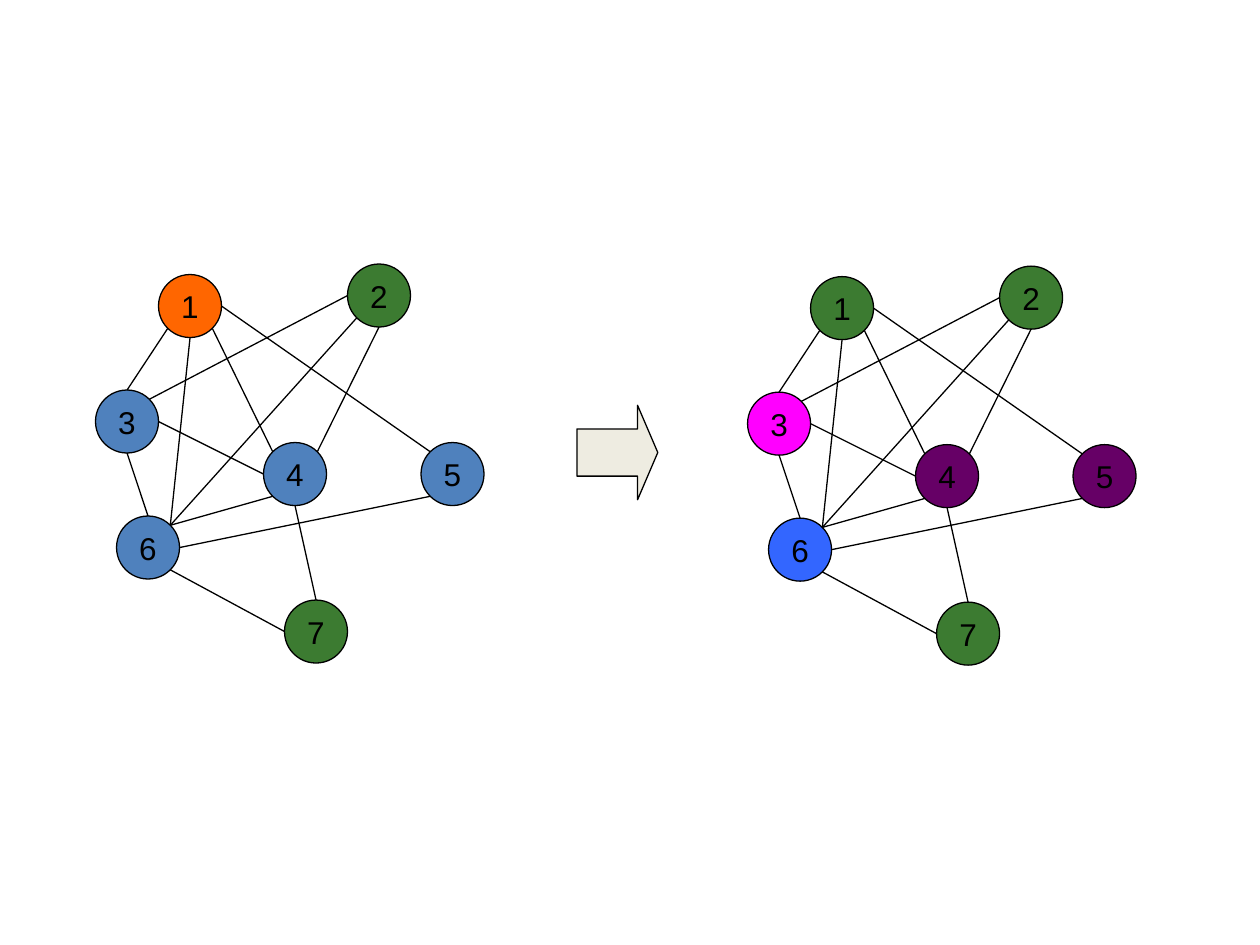
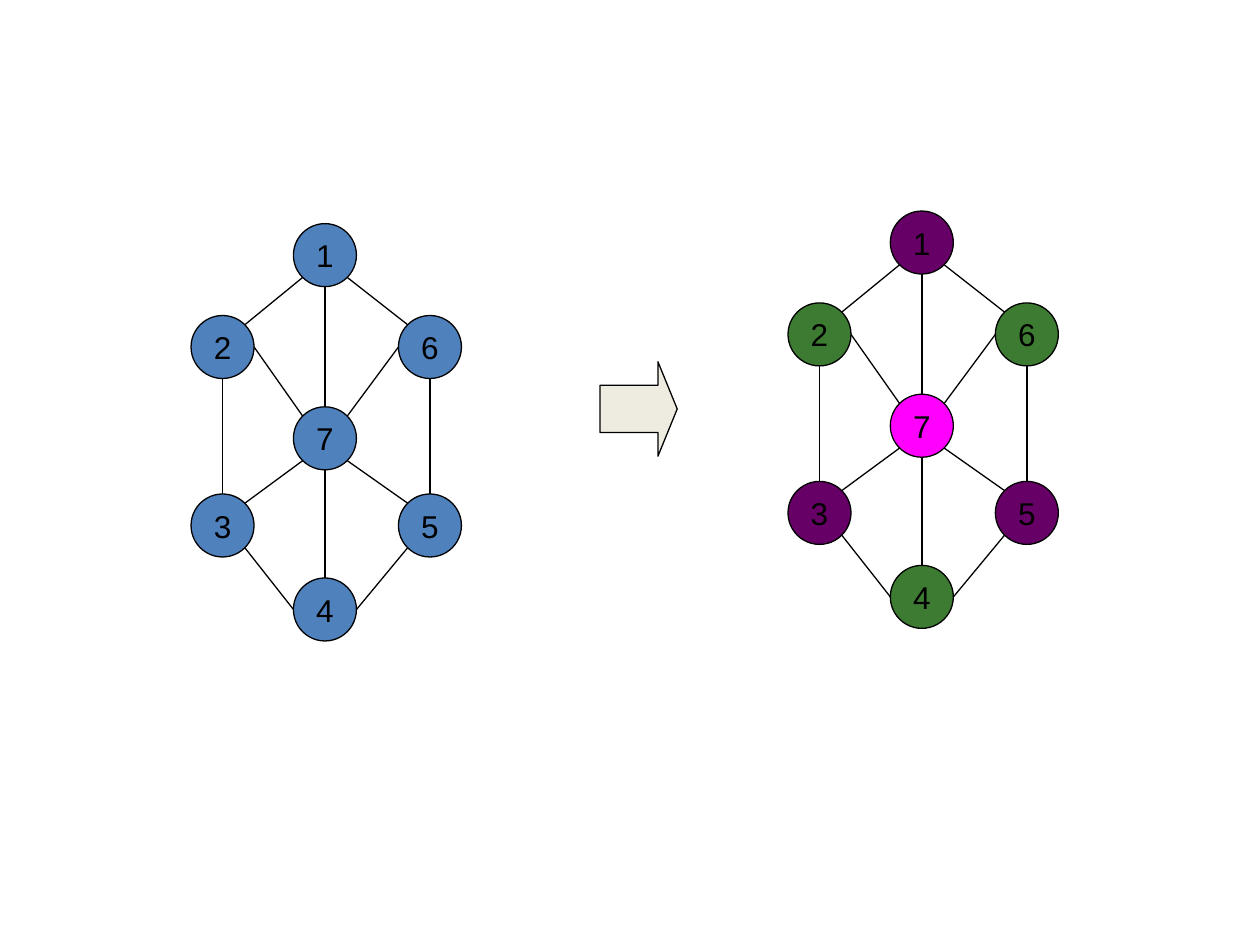
from math import cos, pi, sin

from lxml import etree
from pptx import Presentation
from pptx.dml.color import RGBColor
from pptx.enum.shapes import MSO_CONNECTOR, MSO_SHAPE
from pptx.enum.text import MSO_ANCHOR, PP_ALIGN
from pptx.oxml.ns import qn
from pptx.util import Inches, Pt

ELLIPSE = MSO_SHAPE.OVAL
RIGHT_ARROW = MSO_SHAPE.RIGHT_ARROW
STRAIGHT = MSO_CONNECTOR.STRAIGHT
MIDDLE = MSO_ANCHOR.MIDDLE
CENTER = PP_ALIGN.CENTER

BLACK = RGBColor(0x00, 0x00, 0x00)
STEEL = RGBColor(0x4F, 0x81, 0xBD)
ORANGE = RGBColor(0xFF, 0x66, 0x00)
GREEN = RGBColor(0x3C, 0x7B, 0x31)
MAGENTA = RGBColor(0xFF, 0x00, 0xFF)
BLUE = RGBColor(0x33, 0x66, 0xFF)
PURPLE = RGBColor(0x66, 0x00, 0x66)
CREAM = RGBColor(0xEE, 0xEC, 0xE1)

BLANK_LAYOUT = 6
COLUMNS, ROWS = 120, 90
NODE_SIZE = 6
TOP, TOP_LEFT, LEFT, BOTTOM_LEFT, BOTTOM, BOTTOM_RIGHT, RIGHT, TOP_RIGHT = range(8)

IRREGULAR_NODES = {
    3: (0, 12), 6: (2, 24), 1: (6, 1), 4: (16, 17),
    2: (24, 0), 5: (31, 17), 7: (18, 32),
}
IRREGULAR_EDGES = [
    (3, RIGHT, 4, LEFT),
    (3, TOP_RIGHT, 2, LEFT),
    (6, BOTTOM_RIGHT, 7, LEFT),
    (1, BOTTOM_LEFT, 3, TOP),
    (3, BOTTOM, 6, TOP),
    (6, TOP_RIGHT, 4, BOTTOM_LEFT),
    (1, BOTTOM_RIGHT, 4, TOP_LEFT),
    (1, BOTTOM, 6, TOP_RIGHT),
    (2, BOTTOM, 4, TOP_RIGHT),
    (2, BOTTOM_LEFT, 6, TOP_RIGHT),
    (1, RIGHT, 5, TOP_LEFT),
    (7, TOP, 4, BOTTOM),
    (5, BOTTOM_LEFT, 6, RIGHT),
]

WHEEL_NODES = {
    2: (0, 8.75), 3: (0, 25.75), 1: (9.75, 0), 7: (9.75, 17.45),
    6: (19.75, 8.75), 5: (19.75, 25.75), 4: (9.75, 33.75),
}
WHEEL_EDGES = [
    (2, RIGHT, 7, TOP_LEFT),
    (1, BOTTOM_RIGHT, 6, TOP_LEFT),
    (3, BOTTOM_RIGHT, 4, LEFT),
    (1, BOTTOM_LEFT, 2, TOP_RIGHT),
    (2, BOTTOM, 3, TOP),
    (3, TOP_RIGHT, 7, BOTTOM_LEFT),
    (1, BOTTOM, 7, TOP),
    (4, TOP, 7, BOTTOM),
    (5, TOP, 6, BOTTOM),
    (6, LEFT, 7, TOP_RIGHT),
    (5, BOTTOM_LEFT, 4, RIGHT),
    (7, BOTTOM_RIGHT, 5, TOP_LEFT),
]


def set_format(target, values):
    for name, value in values.items():
        setattr(target, name, value)


class GraphDeck:
    font_format = {"name": "Arial", "size": Pt(18)}
    frame_format = {"word_wrap": False, "vertical_anchor": MIDDLE}
    line_width = Pt(0.75)

    def __init__(self):
        self.deck = Presentation()
        set_format(self.deck, {"slide_width": Inches(10), "slide_height": Inches(7.5)})
        self.column = self.deck.slide_width / COLUMNS
        self.row = self.deck.slide_height / ROWS
        self.page = None

    def add_page(self):
        self.page = self.deck.slides.add_slide(self.deck.slide_layouts[BLANK_LAYOUT])

    def style_line(self, line):
        line.color.rgb = BLACK
        line.width = self.line_width

    def add_box(self, kind, left, top, width, height, color):
        box = self.page.shapes.add_shape(
            kind, round(left * self.column), round(top * self.row),
            round(width * self.column), round(height * self.row))
        box.shadow.inherit = False
        box.fill.solid()
        box.fill.fore_color.rgb = color
        self.style_line(box.line)
        return box

    def add_arrow(self, left, top, width, height):
        arrow = self.add_box(RIGHT_ARROW, left, top, width, height, CREAM)
        arrow.adjustments[0] = 0.5
        arrow.adjustments[1] = 0.25

    def add_node(self, label, left, top, color):
        node = self.add_box(ELLIPSE, left, top, NODE_SIZE, NODE_SIZE, color)
        set_format(node.text_frame, self.frame_format)
        para = node.text_frame.paragraphs[0]
        para.alignment = CENTER
        span = para.add_run()
        span.text = str(label)
        set_format(span.font, self.font_format)
        span.font.color.rgb = BLACK
        return node

    def site_point(self, node, site):
        angle = site * pi / 4
        return (round(node.left + node.width * (1 - sin(angle)) / 2),
                round(node.top + node.height * (1 - cos(angle)) / 2))

    def add_edge(self, start, start_site, end, end_site):
        edge = self.page.shapes.add_connector(
            STRAIGHT, *self.site_point(start, start_site), *self.site_point(end, end_site))
        self.style_line(edge.line)
        etree.SubElement(edge._element.spPr, qn("a:effectLst"))
        joints = edge._element.nvCxnSpPr.cNvCxnSpPr
        for tag, node, site in (("a:stCxn", start, start_site), ("a:endCxn", end, end_site)):
            etree.SubElement(joints, qn(tag), id=str(node.shape_id), idx=str(site))

    def add_graph(self, left, top, places, edges, colors):
        nodes = {
            label: self.add_node(label, left + column, top + row, colors[label])
            for label, (column, row) in places.items()
        }
        for start, start_site, end, end_site in edges:
            self.add_edge(nodes[start], start_site, nodes[end], end_site)


def main():
    graphs = GraphDeck()
    all_steel = dict.fromkeys(range(1, 8), STEEL)

    graphs.add_page()
    graphs.add_graph(9.1, 25.15, IRREGULAR_NODES, IRREGULAR_EDGES,
                     {**all_steel, 1: ORANGE, 2: GREEN, 7: GREEN})
    graphs.add_graph(71.2, 25.35, IRREGULAR_NODES, IRREGULAR_EDGES,
                     {1: GREEN, 2: GREEN, 3: MAGENTA, 4: PURPLE,
                      5: PURPLE, 6: BLUE, 7: GREEN})
    graphs.add_arrow(54.95, 38.6, 7.7, 9)

    graphs.add_page()
    graphs.add_graph(18.2, 21.3, WHEEL_NODES, WHEEL_EDGES, all_steel)
    graphs.add_graph(75.05, 20.1, WHEEL_NODES, WHEEL_EDGES,
                     {1: PURPLE, 2: GREEN, 3: PURPLE, 4: GREEN,
                      5: PURPLE, 6: GREEN, 7: MAGENTA})
    graphs.add_arrow(57.15, 34.45, 7.35, 9)

    graphs.deck.save("out.pptx")


if __name__ == "__main__":
    main()
